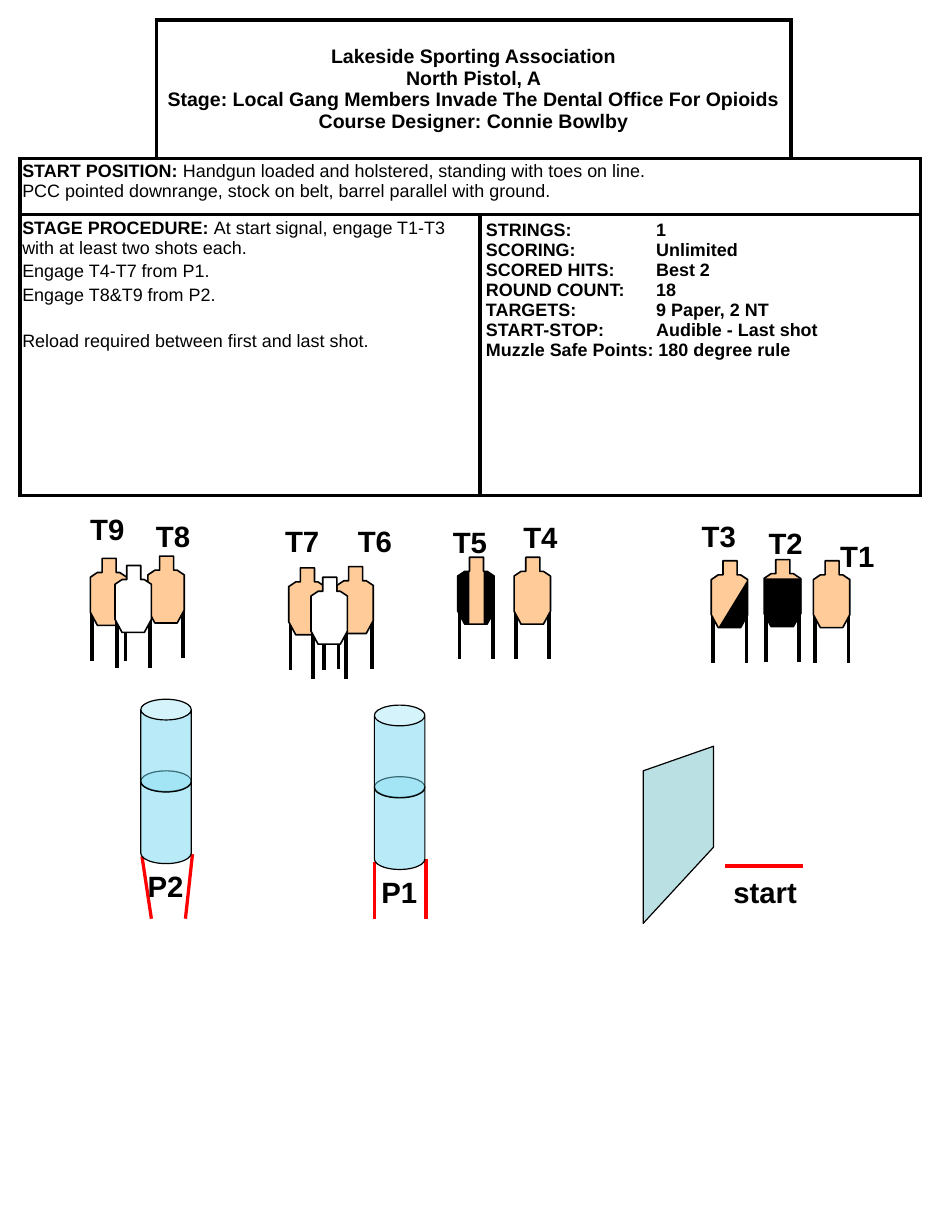
from lxml.etree import SubElement
from pptx import Presentation
from pptx.dml.color import RGBColor as RGB
from pptx.enum.shapes import MSO_CONNECTOR as CONN, MSO_SHAPE as SHAPE
from pptx.enum.text import MSO_ANCHOR as ANCHOR, PP_ALIGN as ALIGN
from pptx.oxml.ns import qn
from pptx.util import Inches, Pt

THEME = {
    "black": RGB(0, 0, 0), "white": RGB(255, 255, 255), "red": RGB(255, 0, 0),
    "tan": RGB(0xFF, 0xCC, 0x99), "barrel": RGB(0x73, 0xD9, 0xF1),
    "wall": RGB(0xBB, 0xE0, 0xE3),
    "font": "Arial", "title": Pt(12), "body": Pt(11), "label": Pt(18),
    "border": Pt(2.25), "leg": Pt(2.25), "floor": Pt(2), "outline": Pt(1), "thin": Pt(0.75),
}
G = Inches(0.01)  # the slide is a grid of 800 columns by 1050 rows

prs = Presentation()
prs.slide_width, prs.slide_height = 800 * G, 1050 * G
s = prs.slides.add_slide(prs.slide_layouts[6])


def line(x1, y1, x2, y2, color, width):
    sp = s.shapes.add_connector(CONN.STRAIGHT, *(round(v * G) for v in (x1, y1, x2, y2)))
    sp.line.color.rgb, sp.line.width = THEME[color], THEME[width]
    SubElement(sp._element.spPr, qn("a:effectLst"))


def outline(points, color, width=None, left=0, top=0):
    """Draw a closed polygon from grid points, moved by left and top."""
    pts = [((left + x) * G, (top + y) * G) for x, y in points]
    fb = s.shapes.build_freeform(*pts[0], scale=1.0)
    fb.add_line_segments(pts[1:], close=True)
    sp = fb.convert_to_shape()
    sp.shadow.inherit = False
    sp.fill.solid()
    sp.fill.fore_color.rgb = THEME[color]
    if width:
        sp.line.color.rgb, sp.line.width = THEME["black"], THEME[width]
    else:
        sp.line.fill.background()


# Stage description table
COLS, ROWS = (116, 276, 265, 110), (118, 48, 239)
tbl = s.shapes.add_table(3, 4, 17 * G, 17 * G, sum(COLS) * G, sum(ROWS) * G).table
tbl.first_row = tbl.horz_banding = False
for col, w in zip(tbl.columns, COLS):
    col.width = w * G
for row, h in zip(tbl.rows, ROWS):
    row.height = h * G

# first column, last column, row, type size, side inset, top inset, anchor, format,
# then paragraphs of bold text, regular text and points before
CELLS = [
    (1, 2, 0, "title", 5, 5, ANCHOR.MIDDLE, {"alignment": ALIGN.CENTER}, [
        ("Lakeside Sporting Association\nNorth Pistol, A\n"
         "Stage: Local Gang Members Invade The Dental Office For Opioids\n"
         "Course Designer: Connie Bowlby", "", 0)]),
    (0, 3, 1, "body", 2, 4, ANCHOR.TOP, {"line_spacing": 0.9}, [
        ("START POSITION: ", "Handgun loaded and holstered, standing with toes on line.", 0),
        ("", "PCC pointed downrange, stock on belt, barrel parallel with ground.", 1.1)]),
    (0, 1, 2, "body", 2, 3, ANCHOR.TOP, {}, [
        ("STAGE PROCEDURE: ", "At start signal, engage T1-T3 with at least two shots each.", 0),
        ("", "Engage T4-T7 from P1.", 2.2),
        ("", "Engage T8&T9 from P2.", 2.2),
        ("", "Reload required between first and last shot.", 16)]),
    (2, 3, 2, "body", 5, 5, ANCHOR.TOP, {}, [
        ("STRINGS:\t1", "", 0), ("SCORING:\tUnlimited", "", 0),
        ("SCORED HITS:\tBest 2", "", 0), ("ROUND COUNT:\t18", "", 0),
        ("TARGETS:\t9 Paper, 2 NT", "", 0), ("START-STOP:\tAudible - Last shot", "", 0),
        ("Muzzle Safe Points: 180 degree rule", "", 0)]),
]
edges = {(0, 0): "RB", (0, 3): "LB"}
for first, last, row, size, side, top, anchor, fmt, paras in CELLS:
    cell = tbl.cell(row, first)
    cell.merge(tbl.cell(row, last))
    for c in range(first, last + 1):
        edges[row, c] = "LRTB" if c == first else "RTB" if c == last else "TB"
    for name, value in {"margin_left": side * G, "margin_right": side * G, "margin_top": top * G,
                        "margin_bottom": top * G, "vertical_anchor": anchor}.items():
        setattr(cell, name, value)
    tf = cell.text_frame
    for i, (strong, plain, before) in enumerate(paras):
        p = tf.add_paragraph() if i else tf.paragraphs[0]
        for name, value in {**fmt, "space_before": Pt(before)}.items():
            setattr(p, name, value)
        if "\t" in strong:
            tabs = SubElement(p._p.get_or_add_pPr(), qn("a:tabLst"))
            SubElement(tabs, qn("a:tab"), pos=str(145 * G), algn="l")
        for text, bold in ((strong, True), (plain, False)):
            for n, part in enumerate(text.split("\n") if text else []):
                if n:
                    p.add_line_break()
                r = p.add_run()
                r.text = part
                r.font.color.rgb = THEME["black"]
                for name, value in {"name": THEME["font"], "size": THEME[size], "bold": bold}.items():
                    setattr(r.font, name, value)

for (row, c), sides in edges.items():
    cell = tbl.cell(row, c)
    pr = cell._tc.get_or_add_tcPr()
    for side in "LRTB":
        if side in sides:
            ln = SubElement(pr, qn(f"a:ln{side}"), w=str(THEME["border"]))
            SubElement(SubElement(ln, qn("a:solidFill")), qn("a:srgbClr"), val=str(THEME["black"]))
        else:
            SubElement(SubElement(pr, qn(f"a:ln{side}"), w="0"), qn("a:noFill"))
    cell.fill.solid()
    cell.fill.fore_color.rgb = THEME["white"]

# Start line and shooting boxes
for ends in ((618, 738, 684, 738), (164, 728, 158, 783), (121, 730, 129, 783),
             (319, 735, 319, 783), (363, 732, 363, 783)):
    line(*ends, "red", "floor")

# Labels
for text, x, y, w in (
        ("P1", 315, 740, 58), ("P2", 116, 735, 58), ("start", 615, 740, 86),
        ("T1", 706, 454, 58), ("T2", 645, 443, 58), ("T3", 588, 437, 58),
        ("T4", 436, 438, 58), ("T5", 376, 442, 58), ("T6", 295, 441, 58),
        ("T7", 233, 441, 58), ("T8", 123, 437, 58), ("T9", 67, 431, 58)):
    tf = s.shapes.add_textbox(x * G, y * G, w * G, 40 * G).text_frame
    tf.word_wrap = True
    r = tf.paragraphs[0].add_run()
    r.text = text
    r.font.color.rgb = THEME["black"]
    for name, value in {"name": THEME["font"], "size": THEME["label"], "bold": True}.items():
        setattr(r.font, name, value)

# Targets: left, top, colour and black hard cover, back to front
BODY = [(10, 0), (22, 0), (22, 12), (25, 12), (31, 16), (31, 46), (25, 57),
        (6, 57), (0, 46), (0, 16), (6, 12), (10, 12)]
STRIPS = [[(22, 12), (25, 12), (31, 16), (31, 46), (25, 57), (22, 57)],
          [(10, 12), (6, 12), (0, 16), (0, 46), (6, 57), (10, 57)]]
LOWER = [[(0, 16), (32, 16), (32, 46), (25, 57), (6, 57), (0, 46)]]
DIAGONAL = [[(31, 16), (31, 46), (25, 57), (6, 57)]]
for x, y, color, covers in (
        (77, 476, "tan", []), (390, 475, "tan", STRIPS), (651, 477, "tan", LOWER),
        (606, 478, "tan", DIAGONAL), (126, 474, "tan", []), (287, 483, "tan", []),
        (438, 475, "tan", []), (693, 478, "tan", []), (246, 484, "tan", []),
        (265, 492, "white", []), (98, 482, "white", [])):
    for leg in (1.5, 30):
        line(x + leg, y + 43, x + leg, y + 87, "black", "leg")
    outline(BODY, color, "outline", x, y)
    for cover in covers:
        outline(cover, "black", None, x, y)

# Barrels, two to a stack
for x, y in ((120, 596), (319, 601)):
    for drop in (61, 0):
        sp = s.shapes.add_shape(SHAPE.CAN, x * G, (y + drop) * G, 43 * G, 79 * G)
        sp.adjustments[0] = 0.41
        sp.shadow.inherit = False
        sp.fill.solid()
        sp.fill.fore_color.rgb = THEME["barrel"]
        SubElement(sp._element.spPr.find(qn("a:solidFill"))[0], qn("a:alpha"), val="50000")
        sp.line.color.rgb, sp.line.width = THEME["black"], THEME["thin"]

# Wall
outline([(608, 722), (548, 787), (548, 657), (608, 636)], "wall", "thin")

prs.save("out.pptx")
